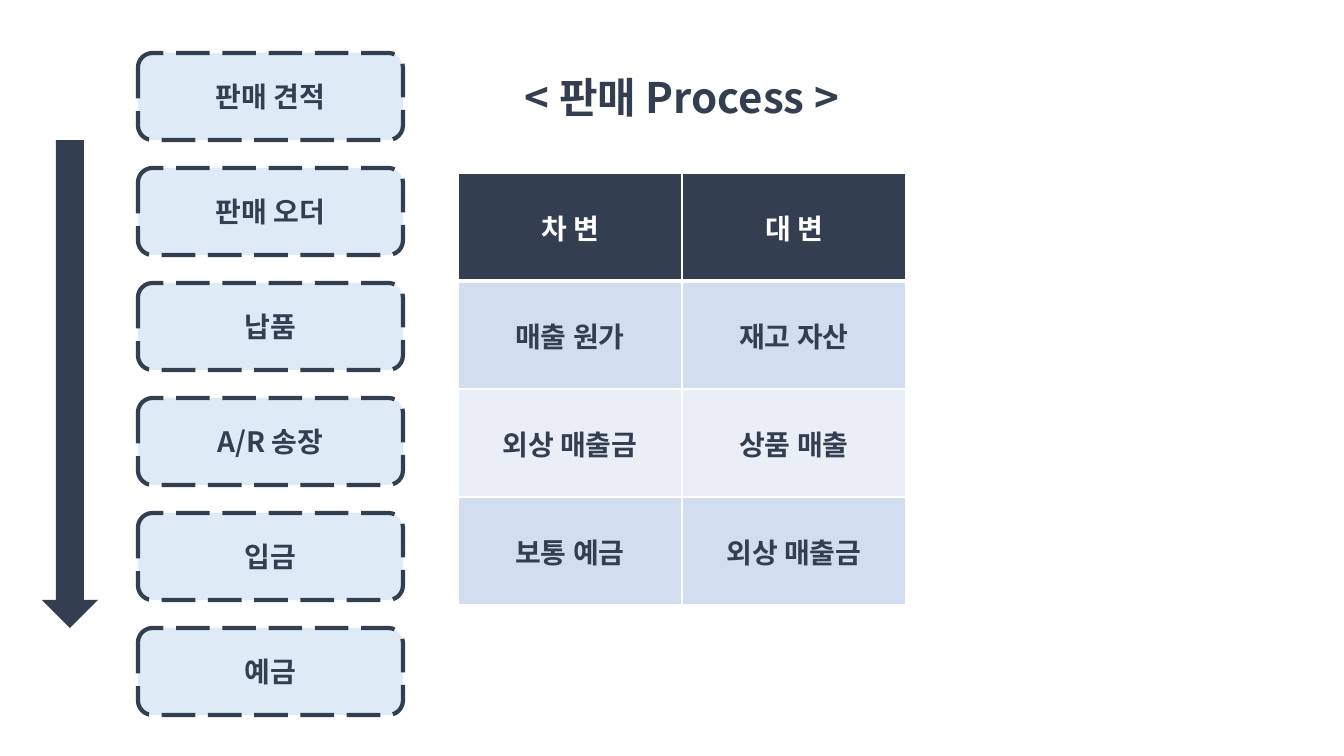
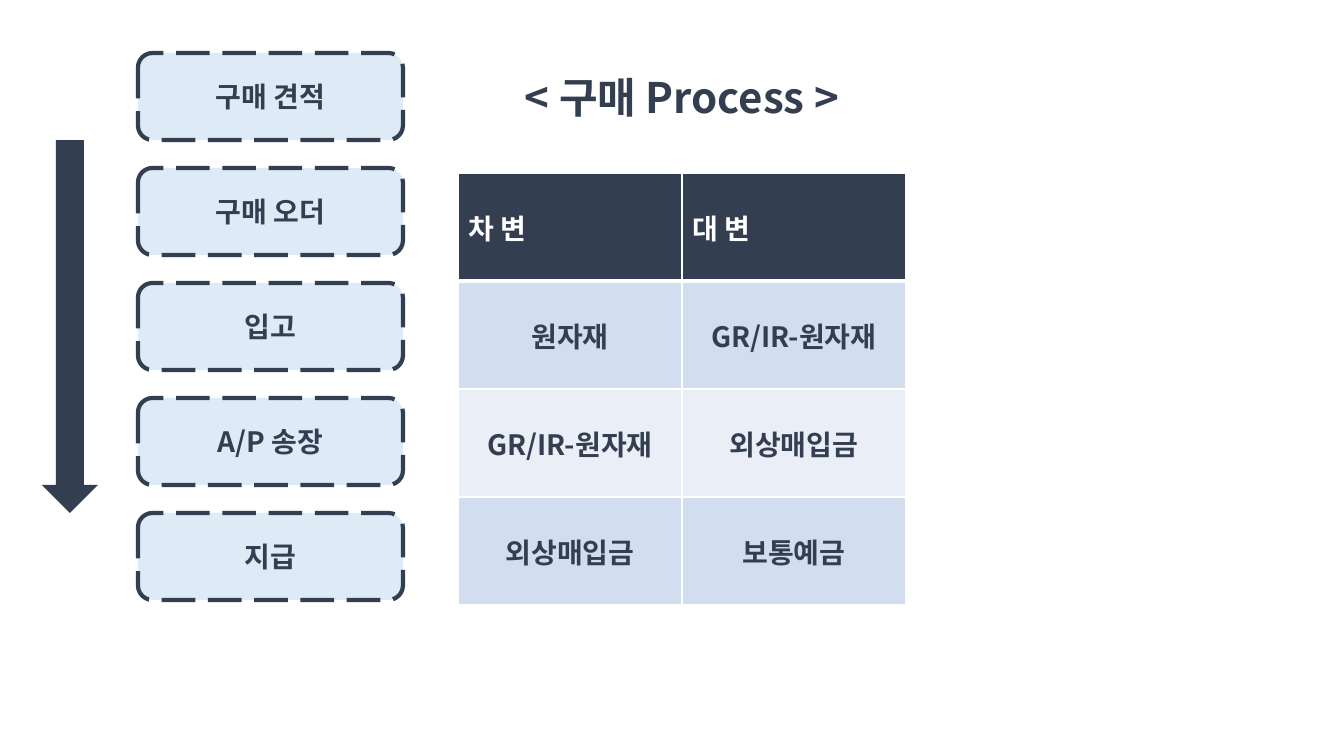
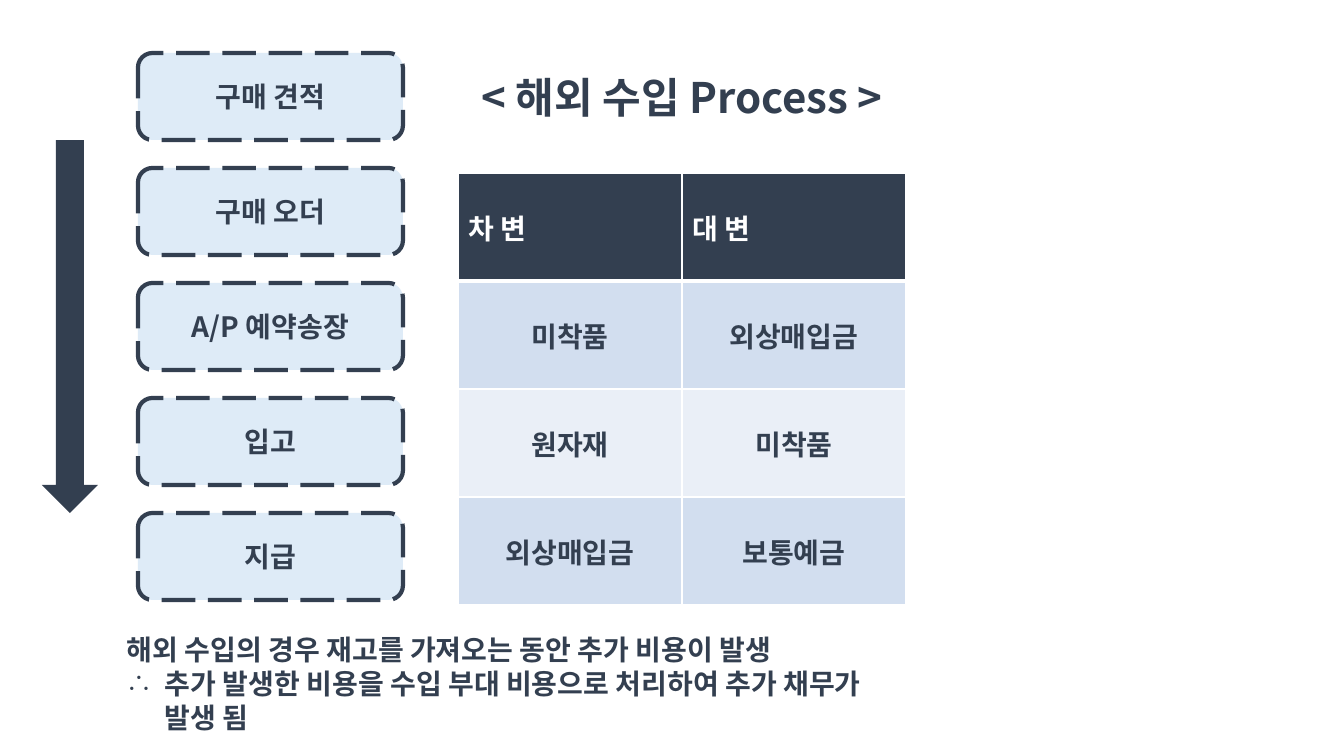
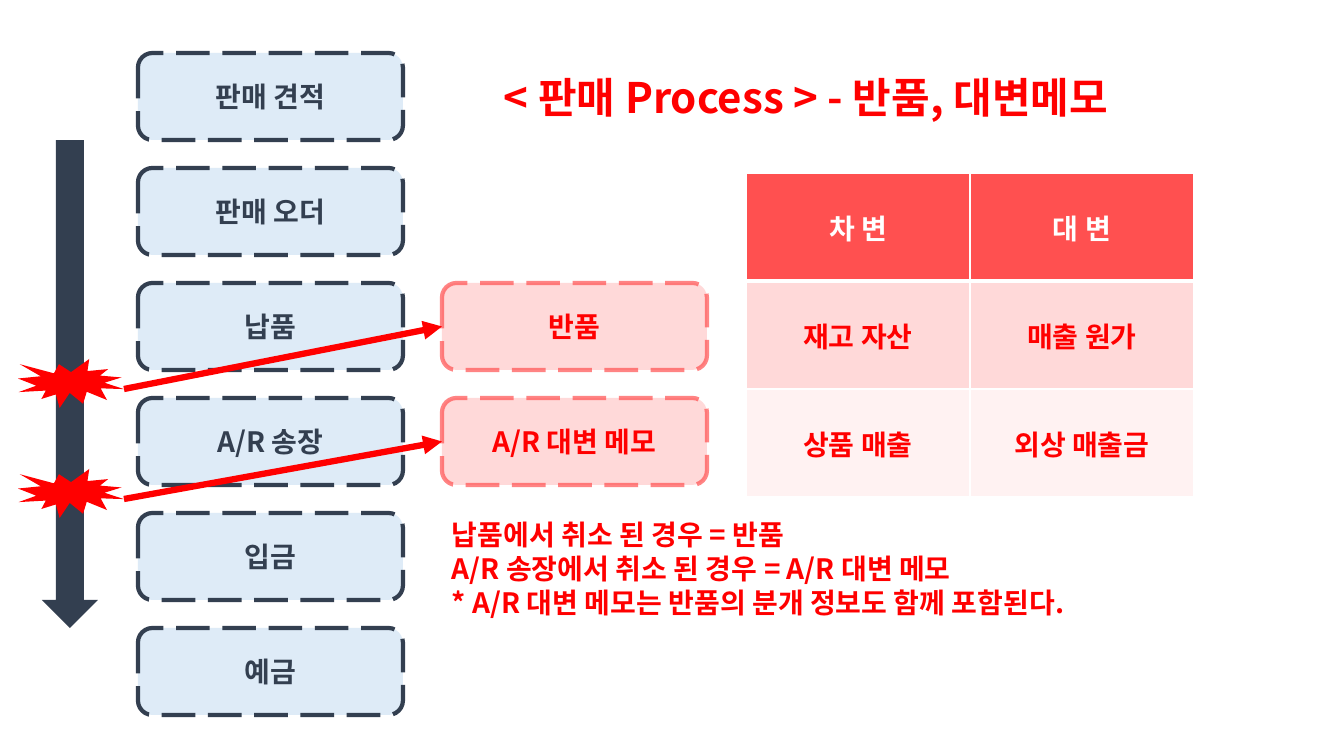
from lxml import etree
from pptx import Presentation
from pptx.dml.color import RGBColor
from pptx.enum.dml import MSO_LINE
from pptx.enum.shapes import MSO_CONNECTOR, MSO_SHAPE
from pptx.enum.text import MSO_ANCHOR, MSO_AUTO_SIZE, PP_ALIGN
from pptx.oxml.ns import qn
from pptx.util import Pt

ROUND = MSO_SHAPE.ROUNDED_RECTANGLE
DOWN = MSO_SHAPE.DOWN_ARROW
BURST = MSO_SHAPE.EXPLOSION1
STRAIGHT = MSO_CONNECTOR.STRAIGHT
DASH = MSO_LINE.LONG_DASH
MIDDLE, TOP = MSO_ANCHOR.MIDDLE, MSO_ANCHOR.TOP
CENTER, LEFT = PP_ALIGN.CENTER, PP_ALIGN.LEFT
GROW = MSO_AUTO_SIZE.SHAPE_TO_FIT_TEXT

FONT = "Noto Sans CJK KR"
NAVY, WHITE, RED, CORAL = "333F50", "FFFFFF", "FF0000", "FF5050"
BLUE = dict(ink=NAVY, head=NAVY, bands=[("D2DEEF", 100), ("EAEFF7", 100)],
            step=("DEEBF7", 100), edge=(NAVY, 100))
ROSE = dict(ink=RED, head=CORAL, bands=[(RED, 15), (RED, 5)],
            step=(RED, 15), edge=(CORAL, 70))

STEP_X, STEP_Y, STEP_W, STEP_H, PITCH = 138, 53, 265, 87, 115
SIDE_X = 442
TABLE_X, TABLE_Y, COL_W, ROW_H = 458, 173, 224, 108
TITLE_Y, TITLE_H = 66, 61
NOTE_W, NOTE_H = 788, 112


def px(*sizes):
    """Turn pixels into a list of EMU lengths."""
    return [round(size * 914400 / 100.8) for size in sizes]


def paint(fill, color, alpha=100):
    """Give a fill one colour, partly see-through below 100."""
    fill.solid()
    fill.fore_color.rgb = RGBColor.from_string(color)
    if alpha < 100:
        tone = fill._xPr.find(qn("a:solidFill"))[0]
        etree.SubElement(tone, qn("a:alpha"), val=str(alpha * 1000))


def write(frame, lines, color, size=20, align=CENTER):
    """Put bold lines of text in a frame."""
    for i, line in enumerate(lines):
        para = frame.paragraphs[0] if i == 0 else frame.add_paragraph()
        para.alignment = align
        run = para.add_run()
        run.text = line
        font = run.font
        font.size, font.bold, font.name = Pt(size), True, FONT
        paint(font.fill, color)
        etree.SubElement(run._r.rPr, qn("a:ea"), typeface=FONT)


def label(slide, box, lines, color, size=20, align=LEFT, anchor=TOP):
    """Add a text box and return its frame."""
    frame = slide.shapes.add_textbox(*px(*box)).text_frame
    frame.word_wrap = True
    frame.auto_size = GROW
    frame.vertical_anchor = anchor
    write(frame, lines, color, size, align)
    return frame


def title(slide, left, width, text, color=NAVY):
    """Add the slide heading."""
    label(slide, (left, TITLE_Y, width, TITLE_H), [text], color, 30, CENTER, MIDDLE)


def shape(slide, kind, box, color, alpha=100):
    """Add a flat shape without an outline."""
    item = slide.shapes.add_shape(kind, *px(*box))
    item.shadow.inherit = False
    paint(item.fill, color, alpha)
    item.line.fill.background()
    return item


def steps(slide, left, first, names, look):
    """Stack dashed step boxes, starting at a given row."""
    for row, name in enumerate(names, first):
        box = left, STEP_Y + row * PITCH, STEP_W, STEP_H
        item = shape(slide, ROUND, box, *look["step"])
        paint(item.line.fill, *look["edge"])
        item.line.width = Pt(3)
        item.line.dash_style = DASH
        item.text_frame.word_wrap = True
        item.text_frame.vertical_anchor = MIDDLE
        write(item.text_frame, [name], look["ink"])


def flow(slide, names):
    """Add the main steps and the arrow running beside them."""
    steps(slide, STEP_X, 0, names, BLUE)
    height = (len(names) - 1) * PITCH - STEP_H
    shape(slide, DOWN, (42, STEP_Y + STEP_H, 56, height), NAVY)


def border(cell, widths):
    """Draw white cell borders, given left, right, top and bottom points."""
    props = cell._tc.get_or_add_tcPr()
    for i, (side, width) in enumerate(zip("LRTB", widths)):
        line = etree.Element(qn("a:ln" + side), w=str(Pt(width)))
        fill = etree.SubElement(line, qn("a:solidFill"))
        etree.SubElement(fill, qn("a:srgbClr"), val=WHITE)
        props.insert(i, line)


def ledger(slide, left, rows, look, align=CENTER):
    """Add the debit and credit table."""
    rows = [("차 변", "대 변")] + rows
    box = px(left, TABLE_Y, 2 * COL_W, len(rows) * ROW_H)
    table = slide.shapes.add_table(len(rows), 2, *box).table
    table.first_row = table.horz_banding = False
    for r, row in enumerate(rows):
        head = r == 0
        for c, text in enumerate(row):
            cell = table.cell(r, c)
            cell.vertical_anchor = MIDDLE
            if head:
                paint(cell.fill, look["head"])
            else:
                paint(cell.fill, *look["bands"][(r - 1) % 2])
            border(cell, (1, 1, 3 if r == 1 else 1, 3 if head else 1))
            write(cell.text_frame, [text], WHITE if head else look["ink"],
                  align=align if head else CENTER)


def bullet(para, mark, indent):
    """Give a paragraph a hanging bullet."""
    props = para._p.get_or_add_pPr()
    gap = px(indent)[0]
    props.set("marL", str(gap))
    props.set("indent", str(-gap))
    etree.SubElement(props, qn("a:buChar"), char=mark)


def branch(slide, top, row):
    """Mark a break on the arrow and point to the side step of a row."""
    left, width = 18, 106
    shape(slide, BURST, (left, top, width, 49), RED)
    ends = px(left + width, top + 30, SIDE_X, STEP_Y + row * PITCH + STEP_H / 2)
    link = slide.shapes.add_connector(STRAIGHT, *ends)
    paint(link.line.fill, RED)
    link.line.width = Pt(4.5)
    etree.SubElement(link.line._ln, qn("a:tailEnd"), type="triangle")
    etree.SubElement(link._element.spPr, qn("a:effectLst"))


def sales(slide):
    """Build the sales process."""
    flow(slide, SALES)
    ledger(slide, TABLE_X, [("매출 원가", "재고 자산"), ("외상 매출금", "상품 매출"),
                            ("보통 예금", "외상 매출금")], BLUE)
    title(slide, TABLE_X, 448, "< 판매 Process >")


def buying(slide):
    """Build the purchase process."""
    flow(slide, ["구매 견적", "구매 오더", "입고", "A/P 송장", "지급"])
    ledger(slide, TABLE_X, [("원자재", "GR/IR-원자재"), ("GR/IR-원자재", "외상매입금"),
                            ("외상매입금", "보통예금")], BLUE, LEFT)
    title(slide, TABLE_X, 448, "< 구매 Process >")


def imports(slide):
    """Build the import process."""
    flow(slide, ["구매 견적", "구매 오더", "A/P 예약송장", "입고", "지급"])
    ledger(slide, TABLE_X, [("미착품", "외상매입금"), ("원자재", "미착품"),
                            ("외상매입금", "보통예금")], BLUE, LEFT)
    title(slide, TABLE_X - 8, 464, "< 해외 수입 Process >")
    note = label(slide, (117, 628, NOTE_W, NOTE_H), [
        "해외 수입의 경우 재고를 가져오는 동안 추가 비용이 발생",
        "추가 발생한 비용을 수입 부대 비용으로 처리하여 추가 채무가 발생 됨"], NAVY)
    bullet(note.paragraphs[1], "∴", 38)


def returns(slide):
    """Build the sales process with returns and credit memos."""
    flow(slide, SALES)
    title(slide, TABLE_X, 696, "< 판매 Process > - 반품, 대변메모", RED)
    ledger(slide, 746, [("재고 자산", "매출 원가"), ("상품 매출", "외상 매출금")], ROSE)
    steps(slide, SIDE_X, 2, ["반품", "A/R 대변 메모"], ROSE)
    for top, row in ((359, 2), (469, 3)):
        branch(slide, top, row)
    label(slide, (SIDE_X, 513, NOTE_W, NOTE_H), [
        "납품에서 취소 된 경우 = 반품",
        "A/R 송장에서 취소 된 경우 = A/R 대변 메모",
        "* A/R 대변 메모는 반품의 분개 정보도 함께 포함된다."], RED)


SALES = ["판매 견적", "판매 오더", "납품", "A/R 송장", "입금", "예금"]

deck = Presentation()
deck.slide_width, deck.slide_height = px(1344, 756)
for build in (sales, buying, imports, returns):
    build(deck.slides.add_slide(deck.slide_layouts[6]))
deck.save("out.pptx")
